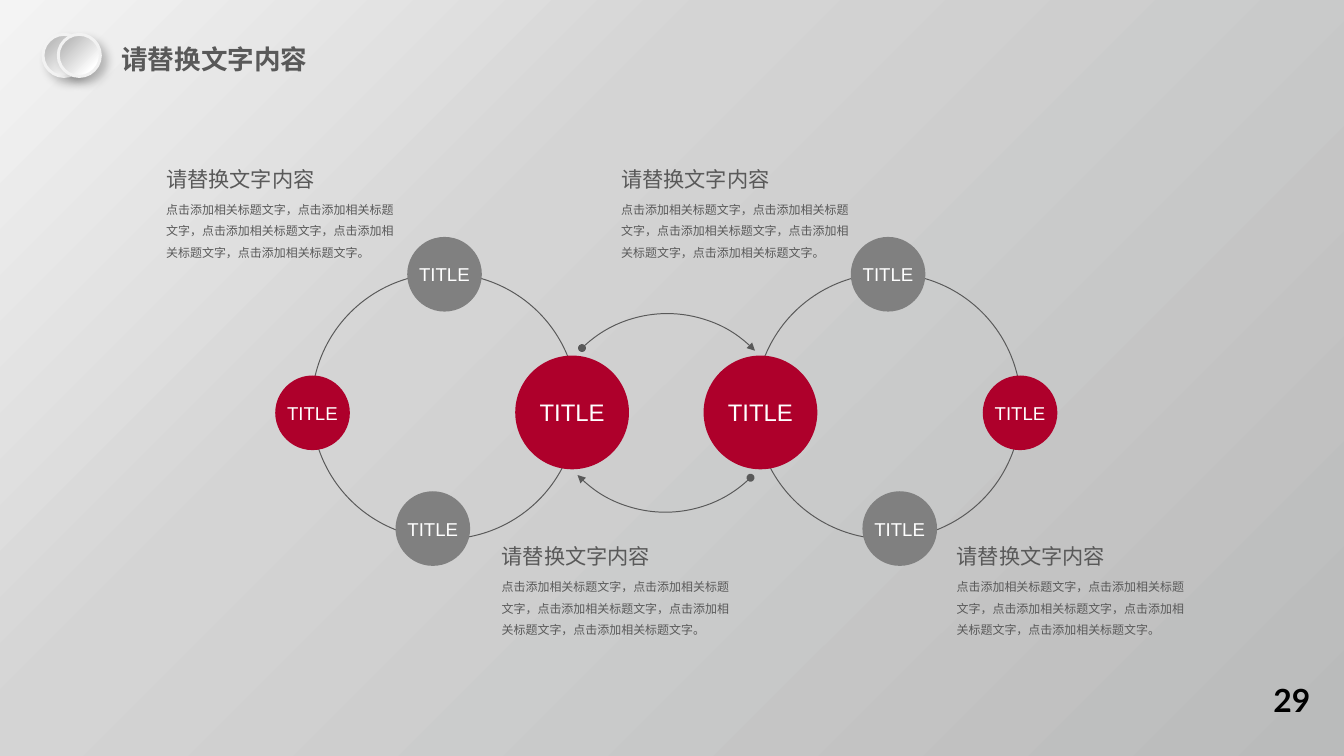
from lxml import etree
from pptx import Presentation
from pptx.dml.color import RGBColor
from pptx.enum import shapes, text
from pptx.oxml.ns import qn
from pptx.util import Pt

RED, GREY, DARK, WHITE = "AE002B", "808080", "595959", "FFFFFF"
HEADING = "请替换文字内容"
BODY = "，".join(["点击添加相关标题文字"] * 5) + "。"

# Circles on a ring: offset from its centre, diameter, colour, text size
NODES = [
    (96.1, 4.7, 85.7, RED, 18),
    (-99.4, 5, 56.2, RED, 14),
    (0, -99.4, 56.2, GREY, 14),
    (-8.8, 92.2, 56.2, GREY, 14),
]


def rgb(value):
    return RGBColor.from_string(value)


def sub(parent, tag, **attrs):
    return etree.SubElement(parent, qn(tag), {k: str(v) for k, v in attrs.items()})


def gradient(fill, owner, stops):
    """Linear gradient from top left to bottom right; stops are (percent, colour)."""
    fill.gradient()
    fill.gradient_angle = 315
    gs_lst = owner.find(".//" + qn("a:gsLst"))
    for gs in list(gs_lst):
        gs_lst.remove(gs)
    for pos, value in stops:
        sub(sub(gs_lst, "a:gs", pos=pos * 1000), "a:srgbClr", val=value)


def write(sp, content, size=14, font="Arial", color=DARK, bold=False, align="LEFT",
          anchor="TOP", spacing=None, inset=(7.2, 3.6)):
    tf = sp.text_frame
    tf.word_wrap = True
    tf.auto_size = text.MSO_AUTO_SIZE.NONE
    tf.vertical_anchor = text.MSO_ANCHOR[anchor]
    tf.margin_left = tf.margin_right = Pt(inset[0])
    tf.margin_top = tf.margin_bottom = Pt(inset[1])
    p = tf.paragraphs[0]
    p.alignment = text.PP_ALIGN[align]
    if spacing:
        p.line_spacing = spacing
    r = p.add_run()
    r.text = content
    r.font.size, r.font.name, r.font.bold = Pt(size), font, bold
    r.font.color.rgb = rgb(color)


def text_box(s, x, y, w, h, content, **fmt):
    write(s.shapes.add_textbox(Pt(x), Pt(y), Pt(w), Pt(h)), content, **fmt)


def round_shape(s, x, y, d, fill=None, line=None, width=0.75, kind="OVAL"):
    sp = s.shapes.add_shape(shapes.MSO_SHAPE[kind], Pt(x), Pt(y), Pt(d), Pt(d))
    sp.shadow.inherit = False
    if fill:
        sp.fill.solid()
        sp.fill.fore_color.rgb = rgb(fill)
    else:
        sp.fill.background()
    if line:
        sp.line.color.rgb = rgb(line)
        sp.line.width = Pt(width)
    else:
        sp.line.fill.background()
    return sp


def header(s, x, y, w, h):
    # Title
    title = s.shapes.title
    title.left, title.top, title.width, title.height = Pt(x + 51.8), Pt(y + 2.9), Pt(w - 51.8), Pt(h)
    write(title, HEADING, size=20, font="Calibri", bold=True)
    # Two overlapping buttons
    for dx in (0, 11.5):
        sp = round_shape(s, x + dx, y, h, line="F2F2F2", width=2.25)
        gradient(sp.fill, sp._element, [(20, "BFBFBF"), (80, WHITE), (100, WHITE)])
        effects = sp._element.spPr.find(qn("a:effectLst"))
        shadow = sub(effects, "a:outerShdw", blurRad=Pt(7), dist=Pt(5.9),
                     dir=45 * 60000, algn="tl", rotWithShape=0)
        sub(sub(shadow, "a:srgbClr", val="000000"), "a:alpha", val=23000)


def ring(s, x, y, d, side):
    """Ring with its circles; side is 1, or -1 for the mirrored ring."""
    round_shape(s, x, y, d, line=DARK)
    cx, cy = x + d / 2, y + d / 2
    for dx, dy, size, fill, points in NODES:
        sp = round_shape(s, cx + side * dx - size / 2, cy + dy - size / 2, size, fill)
        write(sp, "TITLE", size=points, color=WHITE, align="CENTER", anchor="MIDDLE", inset=(0, 0))


def arc_arrow(s, x, y, d, rotation):
    sp = round_shape(s, x, y, d, line=DARK, kind="ARC")
    sp.rotation = rotation
    ln = sp.line._get_or_add_ln()
    sub(ln, "a:headEnd", type="oval")
    sub(ln, "a:tailEnd", type="triangle")


def caption(s, x, y, w):
    text_box(s, x, y + 21.6, w, 56.2, BODY, size=9, spacing=1.5)
    text_box(s, x, y, w, 26.6, HEADING, size=16, font="Calibri")


def main():
    prs = Presentation()
    prs.slide_width, prs.slide_height = Pt(1012.3), Pt(569.5)
    s = prs.slides.add_slide(prs.slide_layouts[5])
    gradient(s.background.fill, s._element, [(0, "F4F4F4"), (35, "D4D4D4"), (100, "BABBBB")])

    # Rings and the arrows between them
    ring(s, 234.7, 205.9, 200.2, 1)
    ring(s, 568.8, 205.9, 200.2, -1)
    arc_arrow(s, 410.4, 236.2, 184.3, 315.9)
    arc_arrow(s, 409, 201.6, 184.3, 135.9)

    # Captions: one pair above, one pair below
    for x, y in ((118.1, 121.7), (370.8, 406.1)):
        for column in range(2):
            caption(s, x + column * 342.7, y, 185.8)

    header(s, 32.4, 25.9, 208, 31.7)

    # Page number
    text_box(s, 951.8, 509, 42.5, 36, "29", size=24, font="Lato", color="000000",
             bold=True, align="CENTER")
    prs.save("out.pptx")


if __name__ == "__main__":
    main()
